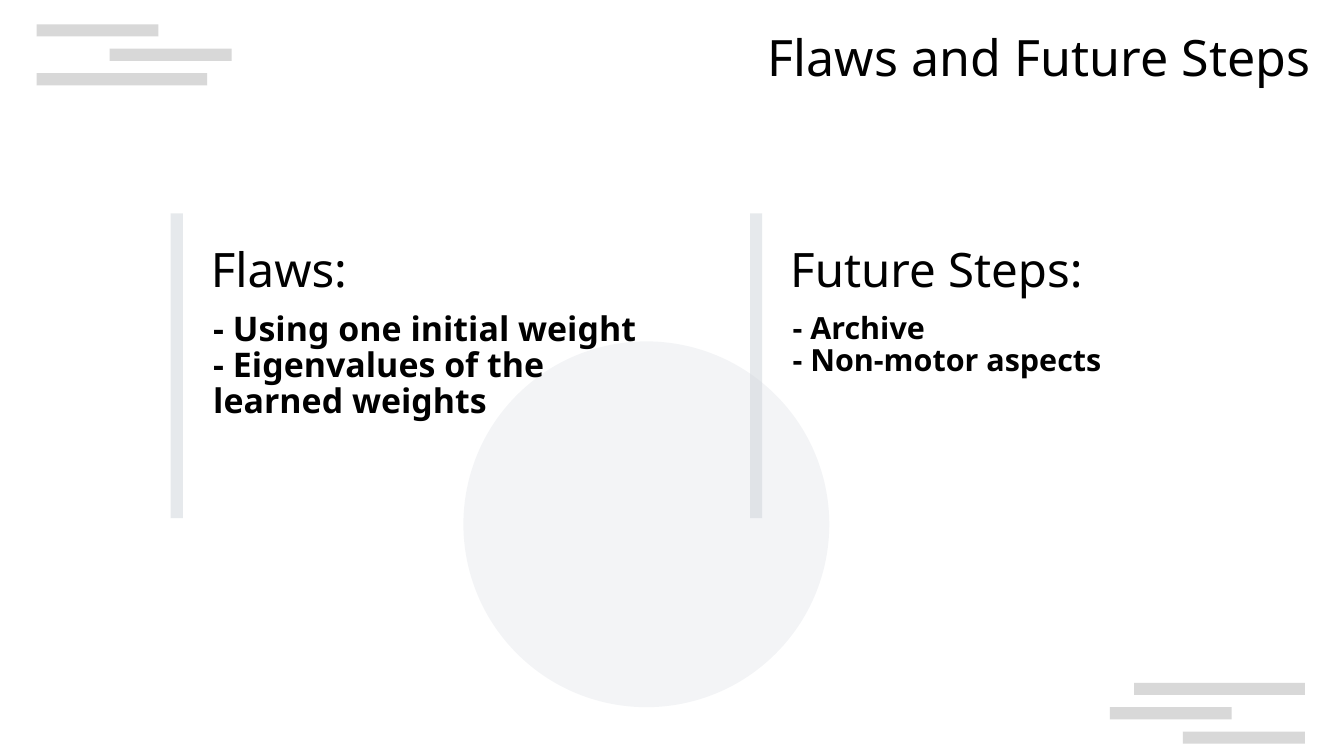
import pptx
import pptx.util
import pptx.dml.color
import pptx.enum.shapes
import pptx.enum.text
import pptx.oxml
import pptx.oxml.ns

RGBColor = pptx.dml.color.RGBColor
SHAPE = pptx.enum.shapes.MSO_SHAPE
ALIGN = pptx.enum.text.PP_ALIGN

BLACK = RGBColor(0x00, 0x00, 0x00)
GREY = RGBColor(0xCC, 0xCC, 0xCC)
SLATE = RGBColor(0x8D, 0x99, 0xAE)
MIST = RGBColor(0xCE, 0xD4, 0xDA)
FONT = "Noto Sans"
STRIPES = [(0, 10), (6, 10), (0, 14)]


def grid(n):
    return pptx.util.Inches(n * 0.1)


def add_fill_shape(slide, kind, box, color, opacity):
    sp = slide.shapes.add_shape(kind, *map(grid, box))
    sp.shadow.inherit = False
    sp.line.fill.background()
    sp.fill.solid()
    sp.fill.fore_color.rgb = color
    clr = sp.fill._xPr.find(".//" + pptx.oxml.ns.qn("a:srgbClr"))
    alpha = pptx.oxml.parse_xml(
        f'<a:alpha {pptx.oxml.ns.nsdecls("a")} val="{opacity * 1000}"/>')
    clr.append(alpha)


def add_text(slide, box, lines, size, bold=False, align=ALIGN.LEFT,
             spacing=1.0, inset=(0, 0)):
    tf = slide.shapes.add_textbox(*map(grid, box)).text_frame
    tf.word_wrap = True
    tf.margin_left = tf.margin_right = grid(inset[0])
    tf.margin_top = tf.margin_bottom = grid(inset[1])
    for i, line in enumerate(lines):
        p = tf.paragraphs[0] if i == 0 else tf.add_paragraph()
        p.alignment = align
        p.line_spacing = spacing
        r = p.add_run()
        r.text = line
        r.font.name = FONT
        r.font.size = pptx.util.Pt(size)
        r.font.bold = bold
        r.font.color.rgb = BLACK


def add_stripes(slide, x, y, direction):
    for row, (indent, width) in enumerate(STRIPES):
        left = x + indent if direction > 0 else x - indent - width
        box = (left, y + direction * 2 * row, width, 1)
        add_fill_shape(slide, SHAPE.RECTANGLE, box, GREY, 75)


def add_column(slide, box, heading, points, size):
    x, y, w, h = box
    add_text(slide, (x + 3.3, y + 2.2, w - 7.7, 7.5), [heading], 28)
    add_text(slide, (x + 2.5, y + 7.7, w - 2.5, h - 8.8), points, size,
             bold=True, spacing=0.88, inset=(1, 0.5))
    add_fill_shape(slide, SHAPE.RECTANGLE, (x, y, 1, h), MIST, 50)


def main():
    prs = pptx.Presentation()
    prs.slide_width = grid(110.2)
    prs.slide_height = grid(62)
    slide = prs.slides.add_slide(prs.slide_layouts[6])
    add_stripes(slide, 107, 60, -1)
    add_stripes(slide, 3, 2, 1)
    add_fill_shape(slide, SHAPE.OVAL, (38, 28, 30, 30), SLATE, 10)
    add_text(slide, (57.5, 2.2, 50, 5.3), ["Flaws and Future Steps"], 29.6,
             align=ALIGN.RIGHT)
    add_column(slide, (14, 17.5, 41, 25), "Flaws:",
               ["- Using one initial weight",
                "- Eigenvalues of the learned weights"], 20)
    add_column(slide, (61.5, 17.5, 41, 25), "Future Steps:",
               ["- Archive", "- Non-motor aspects"], 18)
    prs.save("out.pptx")


if __name__ == "__main__":
    main()
